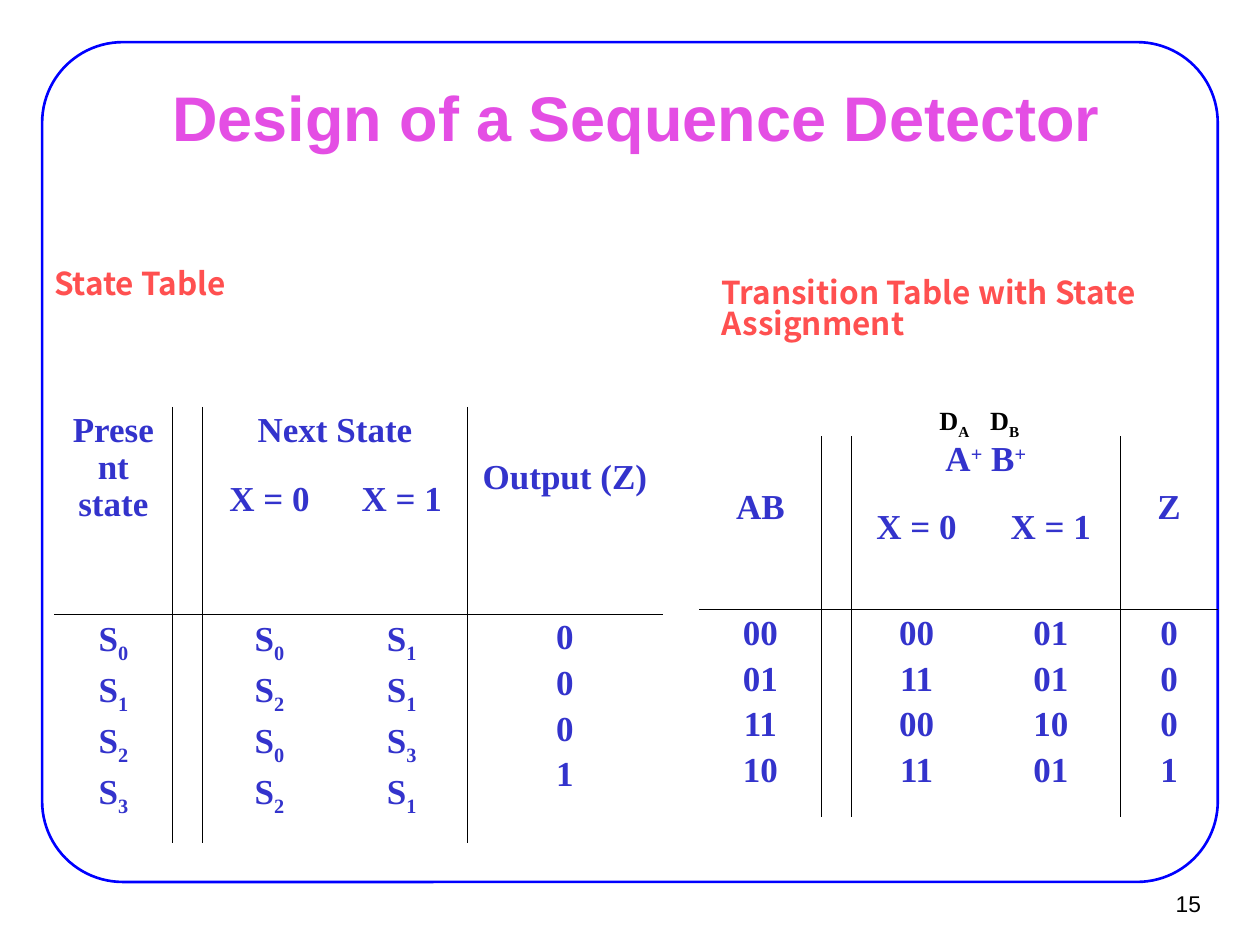
from lxml import etree
from pptx import Presentation
from pptx.dml.color import RGBColor
from pptx.enum.shapes import MSO_SHAPE
from pptx.enum.text import MSO_ANCHOR, PP_ALIGN
from pptx.oxml.ns import qn
from pptx.util import Cm, Pt

CENTER, LEFT, RIGHT = PP_ALIGN.CENTER, PP_ALIGN.LEFT, PP_ALIGN.RIGHT
TOP, MIDDLE = MSO_ANCHOR.TOP, MSO_ANCHOR.MIDDLE
SANS, SERIF, HEADING = "Arial", "Times New Roman", "Noto Sans CJK KR"
BLACK, BLUE, INK, CORAL, PINK = "000000", "0000FF", "3333CC", "FF5050", "E44EE4"
BASELINES = {"_": "-25000", "^": "30000"}

TITLE = "Design of a Sequence Detector"
# text, box (left, top, width, height in cm), font, size, colour
LABELS = [
    ("State Table", (0.84, 5.33, 4.65, 1.02), HEADING, 18, CORAL),
    ("Transition Table with State Assignment", (14.3, 5.51, 9.83, 1.78), HEADING, 18, CORAL),
    ("D_A", (18.69, 8.03, 1.6, 0.99), SERIF, 15, BLACK),
    ("D_B", (19.71, 8.03, 1.6, 0.99), SERIF, 15, BLACK),
]
# "_" lowers and "^" raises the character after it
TABLES = [
    {
        "at": (1.09, 8.2),
        "cols": (2.39, 0.6, 2.69, 2.64, 3.94),
        "rows": (1.39, 2.79, 4.62),
        "heads": ("Present state", "Next State", "Output (Z)"),
        "inputs": ("X = 0", "X = 1"),
        "body": ("S_0 S_1 S_2 S_3", "S_0 S_2 S_0 S_2", "S_1 S_1 S_3 S_1", "0 0 0 1"),
        "lowered": (2,),
    },
    {
        "at": (14.1, 8.79),
        "cols": (2.46, 0.6, 2.62, 2.79, 1.98),
        "rows": (1.37, 2.13, 4.17),
        "heads": ("AB", "A^+ B^+", "Z"),
        "inputs": ("X = 0", "X = 1"),
        "body": ("00 01 11 10", "00 11 00 11", "01 01 10 01", "0 0 0 1"),
        "lowered": (0, 2),
    },
]
HEAD_COLS = (0, 2, 4)
BODY_COLS = (0, 2, 3, 4)
RULED_COLS = (0, 1, 3)  # a line runs down the right of these
RULED_ROW = 1           # and one runs below this


def rgb(code):
    return RGBColor.from_string(code)


def split_runs(text):
    """Yield (text, baseline) pairs from marked-up text."""
    plain, chars = "", iter(text)
    for ch in chars:
        if ch not in BASELINES:
            plain += ch
            continue
        if plain:
            yield plain, None
        yield next(chars), BASELINES[ch]
        plain = ""
    if plain:
        yield plain, None


def write(tf, lines, font, size, color, align=LEFT, bold=True, spacing=None, before=0):
    for i, line in enumerate(lines):
        p = tf.paragraphs[0] if i == 0 else tf.add_paragraph()
        p.alignment = align
        p.space_before = Pt(before)
        if spacing:
            p.line_spacing = spacing
        for text, baseline in split_runs(line):
            r = p.add_run()
            r.text = text
            r.font.name, r.font.size, r.font.bold = font, Pt(size), bold
            r.font.color.rgb = rgb(color)
            if baseline:
                r._r.get_or_add_rPr().set("baseline", baseline)


def set_borders(cell, sides):
    """Draw a thin line on the named sides (L, R, T, B), none on the others."""
    tcPr = cell._tc.get_or_add_tcPr()
    for i, side in enumerate("LRTB"):
        ln = etree.Element(qn(f"a:ln{side}"), w=str(Pt(0.45)))
        if side in sides:
            fill = etree.SubElement(ln, qn("a:solidFill"))
            etree.SubElement(fill, qn("a:srgbClr"), val=BLACK)
        else:
            etree.SubElement(ln, qn("a:noFill"))
        tcPr.insert(i, ln)


def add_state_table(s, data):
    cols, rows = data["cols"], data["rows"]
    left, top = data["at"]
    table = s.shapes.add_table(len(rows), len(cols), Cm(left), Cm(top),
                               Cm(sum(cols)), Cm(sum(rows))).table
    table.first_row = table.horz_banding = False
    for col, width in zip(table.columns, cols):
        col.width = Cm(width)
    for row, height in zip(table.rows, rows):
        row.height = Cm(height)

    for y in range(len(rows)):
        for x in range(len(cols)):
            cell = table.cell(y, x)
            cell.fill.background()
            set_borders(cell, {"R": x in RULED_COLS, "L": x - 1 in RULED_COLS,
                               "B": y == RULED_ROW, "T": y - 1 == RULED_ROW}
                        and [k for k, on in (("R", x in RULED_COLS), ("L", x - 1 in RULED_COLS),
                                             ("B", y == RULED_ROW), ("T", y - 1 == RULED_ROW)) if on])
    for x in (0, 4):
        table.cell(0, x).merge(table.cell(1, x))
    table.cell(0, 2).merge(table.cell(0, 3))

    entries = [(0, x, [head]) for x, head in zip(HEAD_COLS, data["heads"])]
    entries += [(1, x, [name]) for x, name in zip((2, 3), data["inputs"])]
    entries += [(2, x, column.split()) for x, column in zip(BODY_COLS, data["body"])]
    for y, x, lines in entries:
        write(table.cell(y, x).text_frame, lines, SERIF, 20, INK, CENTER,
              spacing=0.95, before=5)
    for i in data["lowered"]:
        table.cell(0, HEAD_COLS[i]).margin_top = Cm(1.08)


def add_label(s, box, text, font, size, color, **style):
    tf = s.shapes.add_textbox(*map(Cm, box)).text_frame
    tf.word_wrap = True
    write(tf, [text], font, size, color, **style)
    return tf


prs = Presentation()
prs.slide_width, prs.slide_height = Cm(25.4), Cm(19.05)
s = prs.slides.add_slide(prs.slide_layouts[5])

frame = s.shapes.add_shape(MSO_SHAPE.ROUNDED_RECTANGLE, Cm(0.85), Cm(0.85), Cm(23.7), Cm(16.93))
frame.adjustments[0] = 0.096
frame.shadow.inherit = False
frame.fill.background()
frame.line.color.rgb = rgb(BLUE)
frame.line.width = Pt(1.5)

title = s.shapes.title
title.left, title.top, title.width, title.height = Cm(0.76), Cm(0.76), Cm(24.13), Cm(3.18)
title.text_frame.vertical_anchor = MIDDLE
write(title.text_frame, [TITLE], SANS, 36, PINK, CENTER)

for data in TABLES:
    add_state_table(s, data)
for text, box, font, size, color in LABELS:
    add_label(s, box, text, font, size, color, spacing=0.83 if font == HEADING else None)

number = add_label(s, (22.91, 17.75, 1.55, 0.94), "15", SANS, 13, BLACK, align=RIGHT, bold=False)
number.vertical_anchor = MIDDLE
number.word_wrap = False

prs.save("out.pptx")
